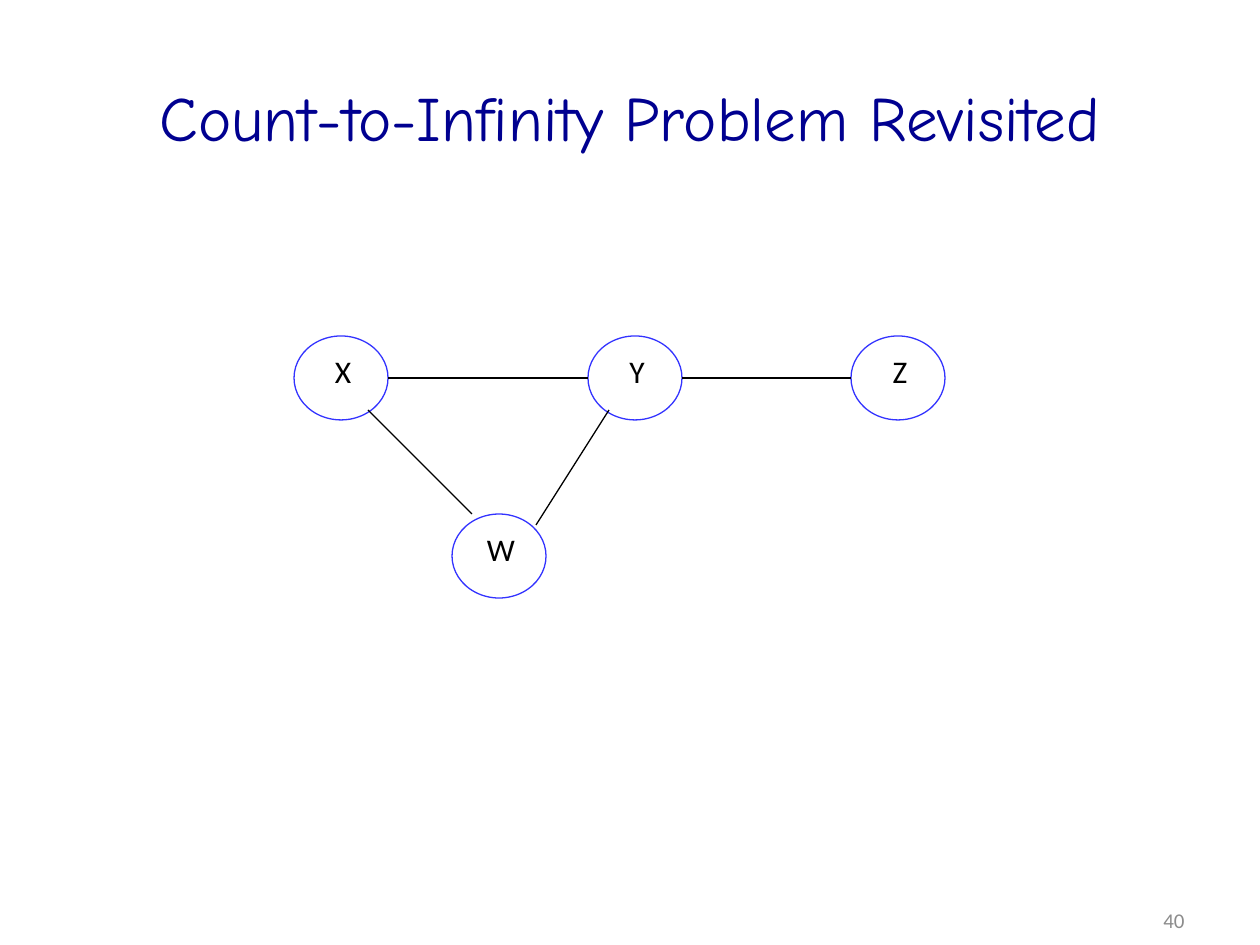
from dataclasses import dataclass

from lxml.etree import SubElement
from pptx import Presentation
from pptx.dml.color import RGBColor as RGB
from pptx.enum.shapes import MSO_CONNECTOR as LINK, MSO_SHAPE as SHAPE
from pptx.enum.text import MSO_ANCHOR as ANCHOR, MSO_AUTO_SIZE as FIT, PP_ALIGN as ALIGN
from pptx.oxml.ns import qn
from pptx.util import Emu, Pt


@dataclass(frozen=True)
class Theme:
    """Colours, fonts and sizes of the slide."""
    navy: RGB = RGB(0x00, 0x00, 0x90)
    blue: RGB = RGB(0x33, 0x33, 0xFF)
    black: RGB = RGB(0, 0, 0)
    grey: RGB = RGB(0x8C, 0x8C, 0x8C)
    head: str = "Comic Neue"
    body: str = "Calibri"
    title: Pt = Pt(36)
    label: Pt = Pt(18)
    small: Pt = Pt(12)
    rule: Pt = Pt(0.75)


THEME = Theme()
SCALE = 914400 / 126
WIDE, HIGH = 94, 84
NODES = {"X": (294, 336), "Y": (588, 336), "Z": (851, 336), "W": (452, 514)}
SIDES = [("X", "Y"), ("Y", "Z")]
SLANTS = [(368, 410, 472, 514), (609, 410, 536, 525)]


def px(*nums):
    """Turn pixel lengths into EMU."""
    return [Emu(round(num * SCALE)) for num in nums]


def apply(item, form):
    """Set each attribute named in a dict of format values."""
    for name, value in form.items():
        setattr(item, name, value)


def add_text(slide, text, box, font, color, frame, align=ALIGN.CENTER):
    """Add one line of text in a box."""
    body = slide.shapes.add_textbox(*px(*box)).text_frame
    apply(body, frame)
    para = body.paragraphs[0]
    para.alignment = align
    run = para.add_run()
    run.text = text
    apply(run.font, font)
    run.font.color.rgb = color


def add_node(slide, name, left, top):
    """Add a router circle with its letter."""
    disc = slide.shapes.add_shape(SHAPE.OVAL, *px(left, top, WIDE, HIGH))
    disc.shadow.inherit = False
    disc.fill.background()
    disc.line.color.rgb = THEME.blue
    disc.line.width = THEME.rule
    add_text(slide, name, (left + 22, top + 10, WIDE - 40, 63),
             {"name": THEME.body, "size": THEME.label}, THEME.black,
             {"word_wrap": False, "auto_size": FIT.SHAPE_TO_FIT_TEXT})


def add_link(slide, *ends):
    """Add a straight link between two points."""
    link = slide.shapes.add_connector(LINK.STRAIGHT, *px(*ends))
    link.line.color.rgb = THEME.black
    link.line.width = THEME.rule
    SubElement(link.element.spPr, qn("a:effectLst"))


def main():
    """Build the slide and save it."""
    deck = Presentation()
    apply(deck, dict(zip(("slide_width", "slide_height"), px(1260, 945))))
    slide = deck.slides.add_slide(deck.slide_layouts[6])
    frame = {"word_wrap": True, "vertical_anchor": ANCHOR.MIDDLE}
    add_text(slide, "40", (903, 895, 294, 50),
             {"name": THEME.body, "size": THEME.small}, THEME.grey, frame, ALIGN.RIGHT)
    add_text(slide, "Count-to-Infinity Problem Revisited", (63, 38, 1134, 157),
             {"name": THEME.head, "size": THEME.title}, THEME.navy, frame)
    for name, spot in NODES.items():
        add_node(slide, name, *spot)
    for start, end in SIDES:
        left, top = NODES[start]
        mid = top + HIGH // 2
        add_link(slide, left + WIDE, mid, NODES[end][0], mid)
    for ends in SLANTS:
        add_link(slide, *ends)
    deck.save("out.pptx")


if __name__ == "__main__":
    main()
